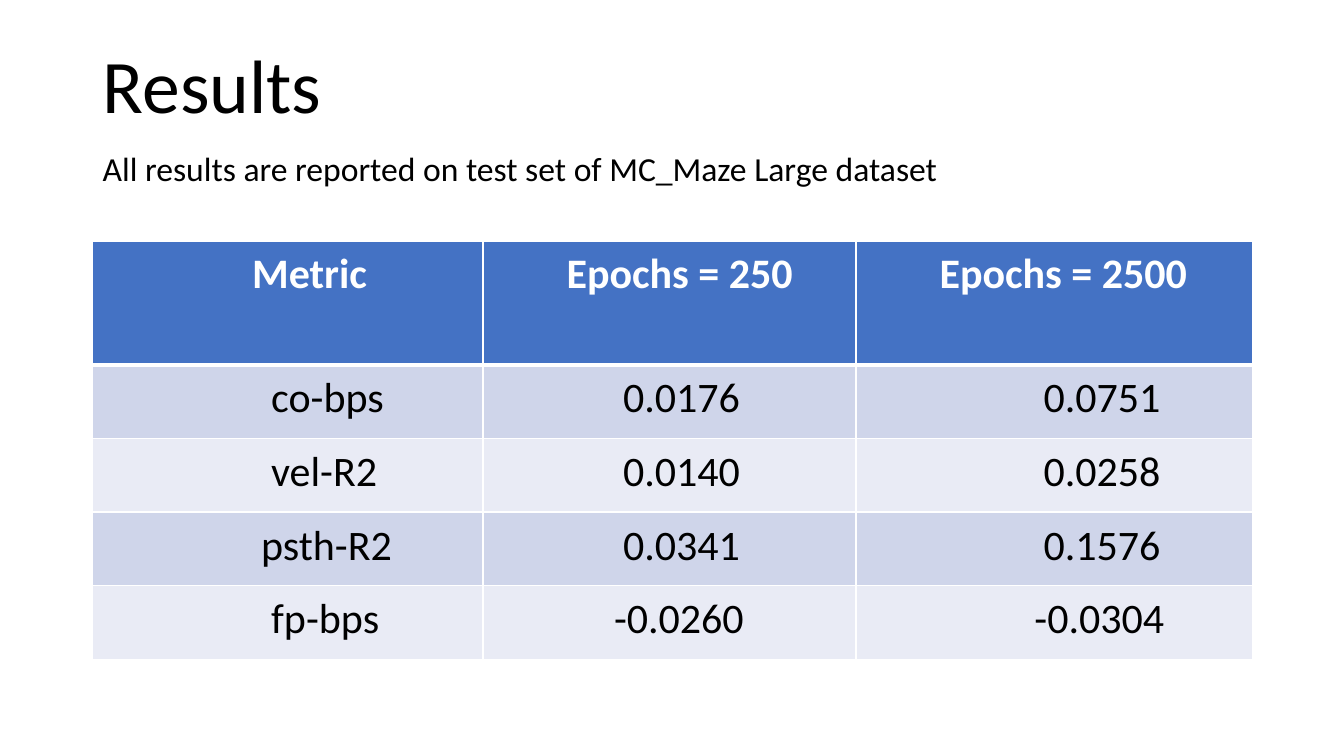
from lxml.etree import SubElement
from pptx import Presentation
from pptx.dml.color import RGBColor
from pptx.enum.text import MSO_ANCHOR as Anchor, MSO_AUTO_SIZE as AutoSize, PP_ALIGN as Align
from pptx.oxml.ns import qn
from pptx.util import Inches, Pt

BLACK = RGBColor(0x00, 0x00, 0x00)
WHITE = RGBColor(0xFF, 0xFF, 0xFF)
HEADER_BLUE = RGBColor(0x44, 0x72, 0xC4)
BAND_DARK = RGBColor(0xCF, 0xD5, 0xEA)
BAND_LIGHT = RGBColor(0xE9, 0xEB, 0xF5)

TITLE_FONT = {"name": "Calibri", "size": Pt(54), "bold": False}
NOTE_FONT = {"name": "Calibri", "size": Pt(24), "bold": False}
HEADER_FONT = {"name": "Calibri", "size": Pt(30), "bold": True}
BODY_FONT = {"name": "Calibri", "size": Pt(30), "bold": False}

COLUMN_WIDTHS = (3.87, 3.7, 3.93)
HEADER_HEIGHT, ROW_HEIGHT = 1.23, 0.73
SIDE_INSET, EDGE_INSET = 0.17, 0.08
THIN, THICK = 1, 3

# Each cell holds its text and the left inset that sets it off, in inches.
RESULTS = (
    (("Metric", 1.58), ("Epochs = 250", 0.83), ("Epochs = 2500", 0.83)),
    (("co-bps", 1.77), ("0.0176", 1.39), ("0.0751", 1.86)),
    (("vel-R2", 1.77), ("0.0140", 1.39), ("0.0258", 1.86)),
    (("psth-R2", 1.67), ("0.0341", 1.39), ("0.1576", 1.86)),
    (("fp-bps", 1.77), ("-0.0260", 1.3), ("-0.0304", 1.77)),
)


def write(frame, text, font_format, color):
    frame.text = text
    paragraph = frame.paragraphs[0]
    paragraph.alignment = Align.LEFT
    font = paragraph.runs[0].font
    for attribute, value in font_format.items():
        setattr(font, attribute, value)
    font.color.rgb = color
    return paragraph


def fill_heading(frame, text, font_format, anchor):
    frame.word_wrap = True
    frame.auto_size = AutoSize.NONE
    frame.vertical_anchor = anchor
    write(frame, text, font_format, BLACK).line_spacing = 0.9


def add_title(slide, left, top, width, height):
    title = slide.shapes.title
    title.left, title.top = Inches(left), Inches(top)
    title.width, title.height = Inches(width), Inches(height)
    fill_heading(title.text_frame, "Results", TITLE_FONT, Anchor.BOTTOM)


def add_dataset_note(slide, left, top, width, height):
    note = slide.shapes.add_textbox(*map(Inches, (left, top, width, height)))
    fill_heading(note.text_frame, "All results are reported on test set of MC_Maze Large dataset",
                 NOTE_FONT, Anchor.TOP)


def draw_borders(cell, top, bottom):
    """Outline the cell in white, with top and bottom widths in points."""
    properties = cell._tc.get_or_add_tcPr()
    for side, points in (("L", THIN), ("R", THIN), ("T", top), ("B", bottom)):
        line = SubElement(properties, qn(f"a:ln{side}"), w=str(Pt(points)))
        SubElement(SubElement(line, qn("a:solidFill")), qn("a:srgbClr"), val=str(WHITE))


def format_cell(cell, text, left_inset, row):
    is_header = row == 0
    draw_borders(cell, top=THICK if row == 1 else THIN, bottom=THICK if is_header else THIN)
    cell.fill.solid()
    cell.fill.fore_color.rgb = HEADER_BLUE if is_header else BAND_DARK if row % 2 else BAND_LIGHT
    cell.margin_left, cell.margin_right = Inches(left_inset), Inches(SIDE_INSET)
    cell.margin_top = cell.margin_bottom = Inches(EDGE_INSET)
    write(cell.text_frame, text, HEADER_FONT if is_header else BODY_FONT,
          WHITE if is_header else BLACK)


def add_results_table(slide, left, top, width, height):
    frame = slide.shapes.add_table(len(RESULTS), len(COLUMN_WIDTHS),
                                   *map(Inches, (left, top, width, height)))
    table = frame.table
    for column, column_width in zip(table.columns, COLUMN_WIDTHS):
        column.width = Inches(column_width)
    for row, entries in enumerate(RESULTS):
        table.rows[row].height = Inches(ROW_HEIGHT if row else HEADER_HEIGHT)
        for column, (text, left_inset) in enumerate(entries):
            format_cell(table.cell(row, column), text, left_inset, row)


def main():
    deck = Presentation()
    deck.slide_width, deck.slide_height = Inches(13.33), Inches(7.5)
    slide = deck.slides.add_slide(deck.slide_layouts.get_by_name("Title Only"))
    left, width = 0.92, 11.5
    add_title(slide, left, 0.32, width, 1.02)
    add_dataset_note(slide, left, 1.46, width, 0.46)
    add_results_table(slide, left, 2.39, width, 4.15)
    deck.save("out.pptx")


if __name__ == "__main__":
    main()
